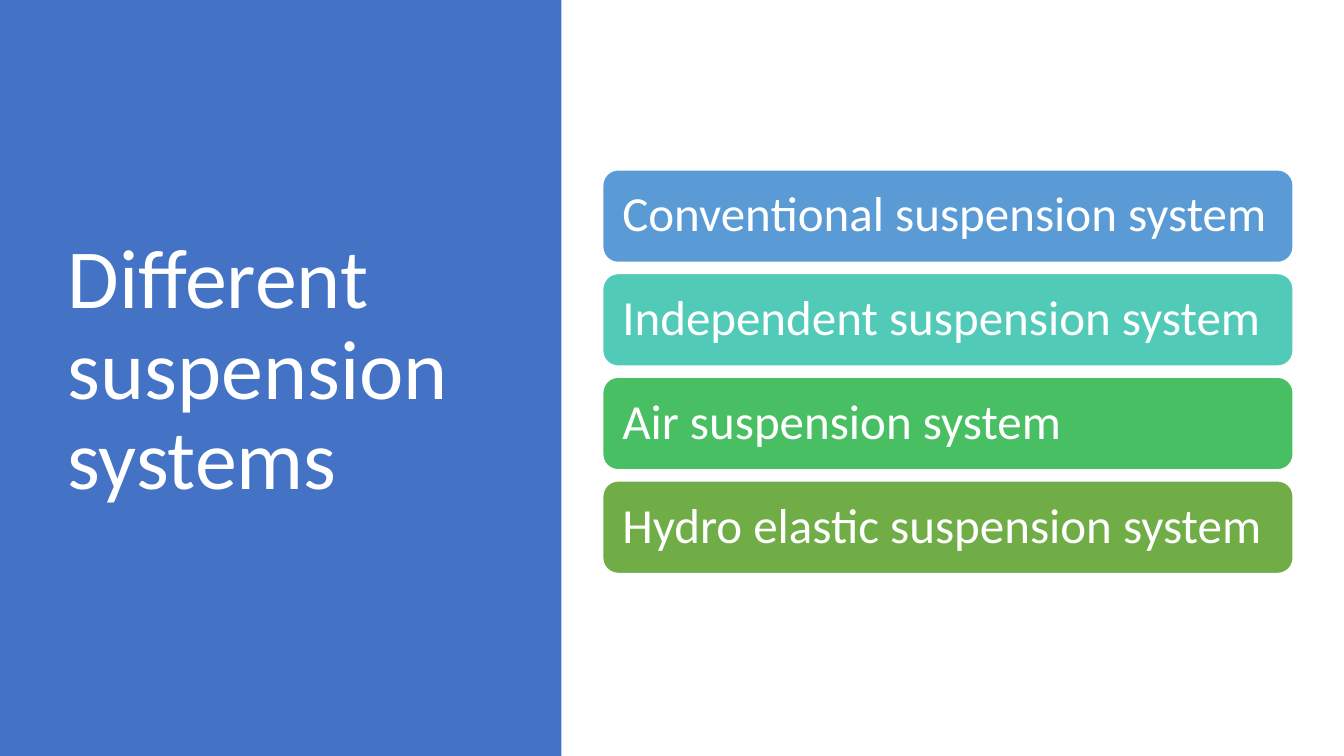
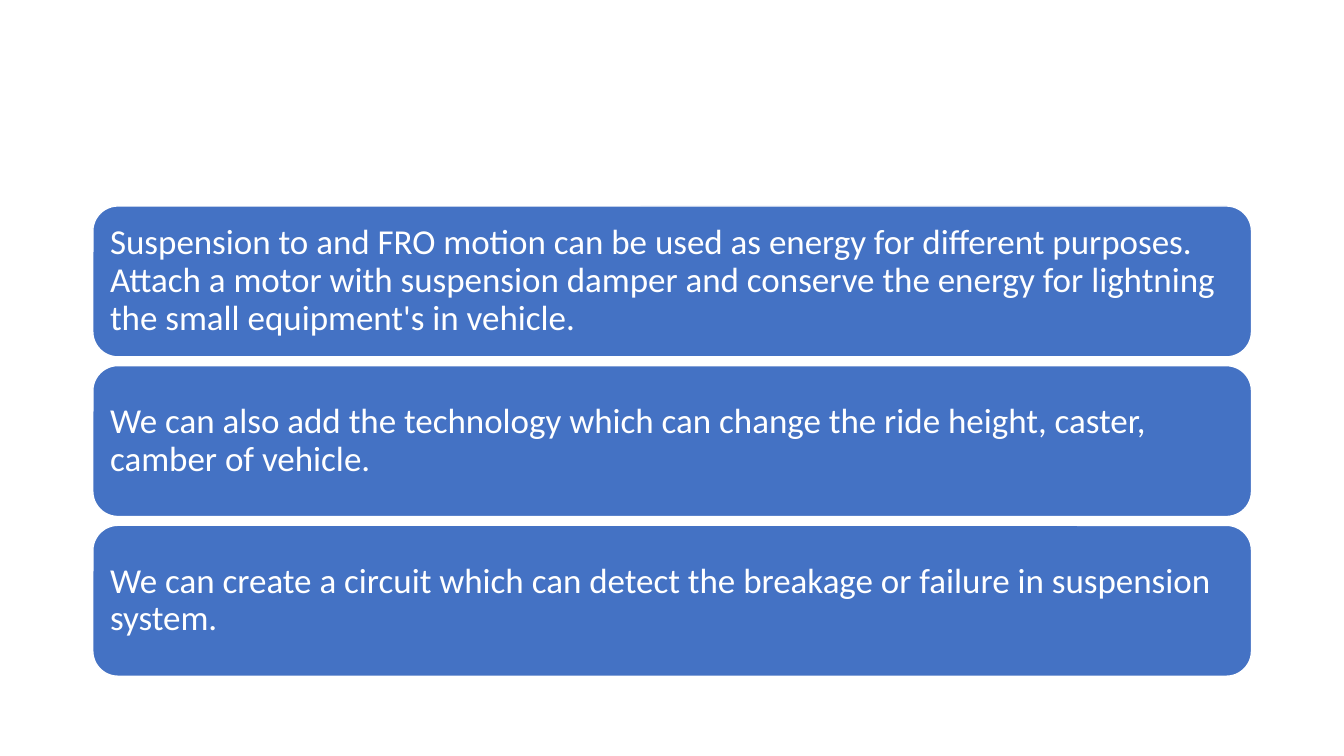
from pptx import Presentation
from pptx.dml.color import RGBColor
from pptx.enum import shapes, text
from pptx.util import Cm, Pt

FONT = "Calibri"
WHITE = "FFFFFF"
BLUE = "4472C4"
WIDE, HIGH = 33.87, 19.05

SYSTEMS = [
    ("Conventional suspension system", "5B9BD5"),
    ("Independent suspension system", "52CAB8"),
    ("Air suspension system", "49BF64"),
    ("Hydro elastic suspension system", "70AD47"),
]
IDEAS = [
    ("Suspension to and FRO motion can be used as energy for different "
     "purposes. Attach a motor with suspension damper and conserve the "
     "energy for lightning the small equipment's in vehicle.", BLUE),
    ("We can also add the technology which can change the ride height, "
     "caster, camber of vehicle.", BLUE),
    ("We can create a circuit which can detect the breakage or failure in "
     "suspension system.", BLUE),
]


def paint(color, tone):
    color.rgb = RGBColor.from_string(tone)


def write(shape, words, size, pad, tone=WHITE):
    """Fill a shape with left-aligned, vertically centred text."""
    frame = shape.text_frame
    frame.word_wrap = True
    frame.vertical_anchor = text.MSO_ANCHOR.MIDDLE
    frame.margin_left = frame.margin_right = Cm(pad)
    frame.margin_top = frame.margin_bottom = Cm(pad)
    para = frame.paragraphs[0]
    para.text = words
    para.alignment = text.PP_ALIGN.LEFT
    para.line_spacing = 0.9
    para.font.name = FONT
    para.font.size = Pt(size)
    paint(para.font.color, tone)


def block(slide, kind, box, tone, edge=None):
    """Add a flat filled shape, with an outline if edge is given."""
    shape = slide.shapes.add_shape(kind, *map(Cm, box))
    shape.shadow.inherit = False
    shape.fill.solid()
    paint(shape.fill.fore_color, tone)
    if edge:
        paint(shape.line.color, edge)
        shape.line.width = Pt(1)
    else:
        shape.line.fill.background()
    return shape


def panel(slide, box, title):
    """Add the coloured side panel with the slide title."""
    left, top, width, height = box
    block(slide, shapes.MSO_SHAPE.RECTANGLE, box, BLUE)
    label = slide.shapes.add_textbox(
        Cm(left + 1.45), Cm(top + 1.73), Cm(width - 3.58), Cm(height - 3.76))
    write(label, title, size=60, pad=0.25)


def stack(slide, box, items, gap, size, pad):
    """Stack equal rounded cards so that they fill the box."""
    left, top, width, height = box
    card = (height - gap * (len(items) - 1)) / len(items)
    for row, (words, tone) in enumerate(items):
        place = left, top + row * (card + gap), width, card
        shape = block(slide, shapes.MSO_SHAPE.ROUNDED_RECTANGLE, place,
                      tone, edge=WHITE)
        write(shape, words, size=size, pad=pad)


def main():
    deck = Presentation()
    deck.slide_width, deck.slide_height = Cm(WIDE), Cm(HIGH)
    blank = deck.slide_layouts[6]

    slide = deck.slides.add_slide(blank)
    panel(slide, (0, 0, 14.15, HIGH), "Different suspension systems")
    stack(slide, (15.19, 4.28, 17.4, 10.17), SYSTEMS,
          gap=0.28, size=35, pad=0.38)

    slide = deck.slides.add_slide(blank)
    stack(slide, (2.34, 5.19, 29.2, 11.85), IDEAS,
          gap=0.22, size=25, pad=0.25)

    deck.save("out.pptx")


if __name__ == "__main__":
    main()
